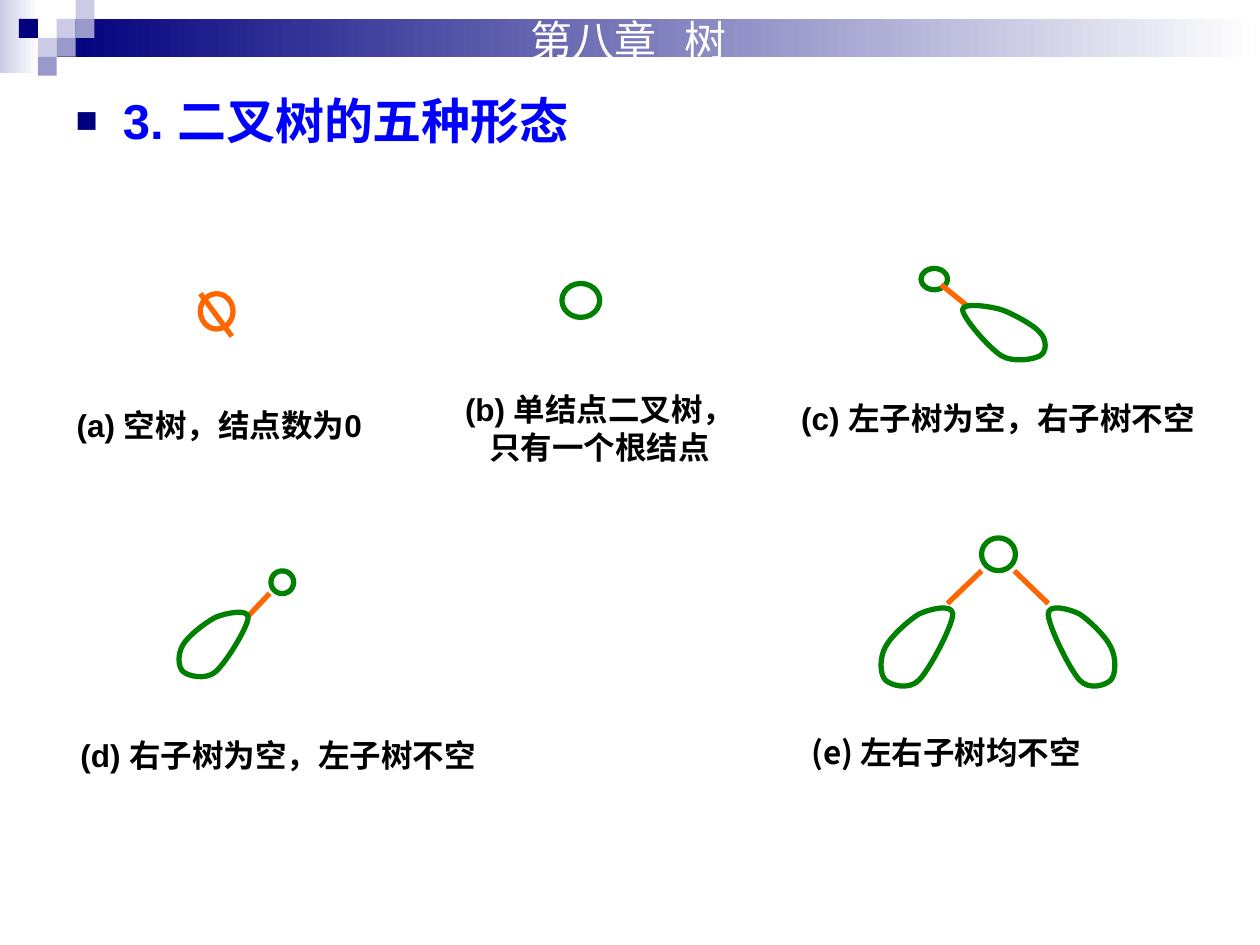
import pptx
import pptx.util
from lxml import etree
from pptx.dml.color import RGBColor
from pptx.enum.shapes import MSO_CONNECTOR, MSO_SHAPE
from pptx.enum.text import MSO_ANCHOR, MSO_AUTO_SIZE, PP_ALIGN
from pptx.oxml.ns import qn

Pt = pptx.util.Pt

NAVY = RGBColor(0x00, 0x00, 0x7D)
PERIWINKLE = RGBColor(0x99, 0x99, 0xCC)
LAVENDER = RGBColor(0xCC, 0xCC, 0xE6)
WHITE = RGBColor(0xFF, 0xFF, 0xFF)
BLACK = RGBColor(0x00, 0x00, 0x00)
BLUE = RGBColor(0x00, 0x00, 0xFF)
GREEN = RGBColor(0x00, 0x80, 0x00)
ORANGE = RGBColor(0xFF, 0x66, 0x00)
LATIN, CJK = "Arial", "Noto Sans CJK SC"

CHAPTER = "第八章\t树"
HEADING = "3. 二叉树的五种形态"

# Header: gradient bars (left, top, width, height, colour) and squares (column, row, colour)
BARS = [(0, 0, 22.3, 41.8, LAVENDER), (32.4, 10.8, 687.6, 21.6, NAVY)]
CELL = 10.8
SQUARES = [
    (3, 1, LAVENDER), (4, 0, LAVENDER), (4, 1, PERIWINKLE), (2, 2, LAVENDER),
    (1, 1, NAVY), (3, 2, PERIWINKLE), (2, 3, PERIWINKLE),
]

# Each form: caption and its box, nodes and subtrees (left, top, width, height),
# edges (x1, y1, x2, y2); a subtree also tells on which side of its root it hangs.
FORMS = [
    {"caption": "(a) 空树，结点数为0", "box": (36.7, 213.1, 187.2, 43.9),
     "format": {"line_spacing": 1.7, "before": 4.5}, "node_color": ORANGE,
     "nodes": [(114.5, 167.8, 18.7, 20.2)], "edges": [(114.5, 167.8, 132.5, 192.2)]},
    {"caption": "(b) 单结点二叉树，只有一个根结点", "box": (252, 219.6, 181.4, 50.4),
     "format": {"align": PP_ALIGN.CENTER},
     "nodes": [(321.1, 162, 21.6, 19.4)]},
    {"caption": "(c) 左子树为空，右子树不空", "box": (450.7, 224.6, 251.3, 28.8),
     "nodes": [(526.3, 153.4, 15.1, 12.2)], "edges": [(553, 175, 537.8, 162.7)],
     "subtrees": [("right", 550.1, 172.8, 48.2, 34.6)]},
    {"caption": "(d) 右子树为空，左子树不空", "box": (38.9, 401.8, 267.1, 43.9),
     "format": {"line_spacing": 1.7, "before": 4.5},
     "nodes": [(154.8, 326.2, 13, 13)], "edges": [(154.1, 339.1, 141.8, 352.1)],
     "subtrees": [("left", 101.5, 347.8, 40.3, 41)]},
    {"caption": "(e) 左右子树均不空", "box": (456.5, 400.3, 221, 51.1),
     "format": {"line_spacing": 1.7, "before": 4.5, "latin": CJK},
     "nodes": [(560.9, 307.4, 19.4, 18.7)],
     "edges": [(560.9, 326.2, 541.4, 344.9), (599, 344.9, 579.6, 326.2)],
     "subtrees": [("left", 502.6, 344.9, 41.8, 49.7), ("right", 599, 344.9, 38.9, 49.7)]},
]

# Bezier points of a right-hand subtree in a unit box, starting at its root
SUBTREE = [
    (0, 0.12),
    (0, 0), (0.31, 0.06), (0.46, 0.12),
    (0.6, 0.19), (0.85, 0.38), (0.92, 0.5),
    (1, 0.62), (1, 0.81), (0.92, 0.88),
    (0.85, 0.94), (0.6, 1), (0.46, 0.88),
    (0.31, 0.75), (0, 0.25), (0, 0.12),
]


def points(values):
    return [Pt(value) for value in values]


def write(shape, text, size=18, color=BLACK, bold=True, latin=LATIN,
          align=PP_ALIGN.LEFT, line_spacing=1.0, before=0):
    frame = shape.text_frame
    frame.word_wrap = True
    frame.auto_size = MSO_AUTO_SIZE.NONE
    frame.vertical_anchor = MSO_ANCHOR.TOP
    paragraph = frame.paragraphs[0]
    paragraph.alignment = align
    paragraph.line_spacing = line_spacing
    paragraph.space_before = Pt(before)
    run = paragraph.add_run()
    run.text = text
    font = run.font
    font.size, font.bold, font.name = Pt(size), bold, latin
    font.color.rgb = color
    etree.SubElement(font._element, qn("a:ea"), typeface=CJK)
    return paragraph


def add_block(shapes, box, color, fade=False):
    block = shapes.add_shape(MSO_SHAPE.RECTANGLE, *points(box))
    block.shadow.inherit = False
    block.line.fill.background()
    if fade:
        block.fill.gradient()
        block.fill.gradient_angle = 0
        for stop, shade in zip(block.fill.gradient_stops, (color, WHITE)):
            stop.color.rgb = shade
    else:
        block.fill.solid()
        block.fill.fore_color.rgb = color


def outline(shape, color):
    shape.shadow.inherit = False
    shape.fill.background()
    shape.line.color.rgb = color
    shape.line.width = Pt(3)


def add_edge(shapes, ends):
    edge = shapes.add_connector(MSO_CONNECTOR.STRAIGHT, *points(ends))
    edge.line.color.rgb = ORANGE
    edge.line.width = Pt(3)
    etree.SubElement(edge._element.spPr, qn("a:effectLst"))


def add_subtree(shapes, side, left, top, width, height):
    """Draw the drop shape, turning each three line segments into one curve."""
    corners = [
        (Pt(left + width * (u if side == "right" else 1 - u)), Pt(top + height * v))
        for u, v in SUBTREE
    ]
    builder = shapes.build_freeform(*corners[0])
    builder.add_line_segments(corners[1:], close=True)
    subtree = builder.convert_to_shape()
    segments = list(subtree._element.iter(qn("a:lnTo")))[:len(SUBTREE) - 1]
    for first in range(0, len(segments), 3):
        curve = etree.Element(qn("a:cubicBezTo"))
        segments[first].addprevious(curve)
        for segment in segments[first:first + 3]:
            curve.append(segment[0])
            segment.getparent().remove(segment)
    outline(subtree, GREEN)


def add_form(shapes, form):
    for node in form["nodes"]:
        oval = shapes.add_shape(MSO_SHAPE.OVAL, *points(node))
        outline(oval, form.get("node_color", GREEN))
    for edge in form.get("edges", []):
        add_edge(shapes, edge)
    for subtree in form.get("subtrees", []):
        add_subtree(shapes, *subtree)
    caption = shapes.add_textbox(*points(form["box"]))
    write(caption, form["caption"], **form.get("format", {}))


def add_heading(title):
    title.left, title.top, title.width, title.height = points((36, 48.2, 648, 491.8))
    properties = write(title, HEADING, size=28, color=BLUE, before=7)._p.get_or_add_pPr()
    properties.set("marL", str(Pt(27)))
    properties.set("indent", str(Pt(-27)))
    bullet_color = etree.SubElement(properties, qn("a:buClr"))
    etree.SubElement(bullet_color, qn("a:srgbClr"), val=str(NAVY))
    etree.SubElement(properties, qn("a:buSzPct"), val="75000")
    etree.SubElement(properties, qn("a:buFont"), typeface=LATIN)
    etree.SubElement(properties, qn("a:buChar"), char="■")


def add_chapter(shapes):
    chapter = shapes.add_textbox(*points((295.9, 5, 174.2, 36)))
    paragraph = write(chapter, CHAPTER, size=24, color=WHITE, bold=False, latin=CJK)
    tabs = etree.SubElement(paragraph._p.get_or_add_pPr(), qn("a:tabLst"))
    etree.SubElement(tabs, qn("a:tab"), pos=str(Pt(88)), algn="l")


def main():
    deck = pptx.Presentation()
    deck.slide_width, deck.slide_height = Pt(720), Pt(540)
    slide = deck.slides.add_slide(deck.slide_layouts[5])
    shapes = slide.shapes
    for *box, color in BARS:
        add_block(shapes, box, color, fade=True)
    for column, row, color in SQUARES:
        add_block(shapes, (column * CELL, row * CELL, CELL, CELL), color)
    add_chapter(shapes)
    add_heading(shapes.title)
    for form in FORMS:
        add_form(shapes, form)
    deck.save("out.pptx")


if __name__ == "__main__":
    main()
